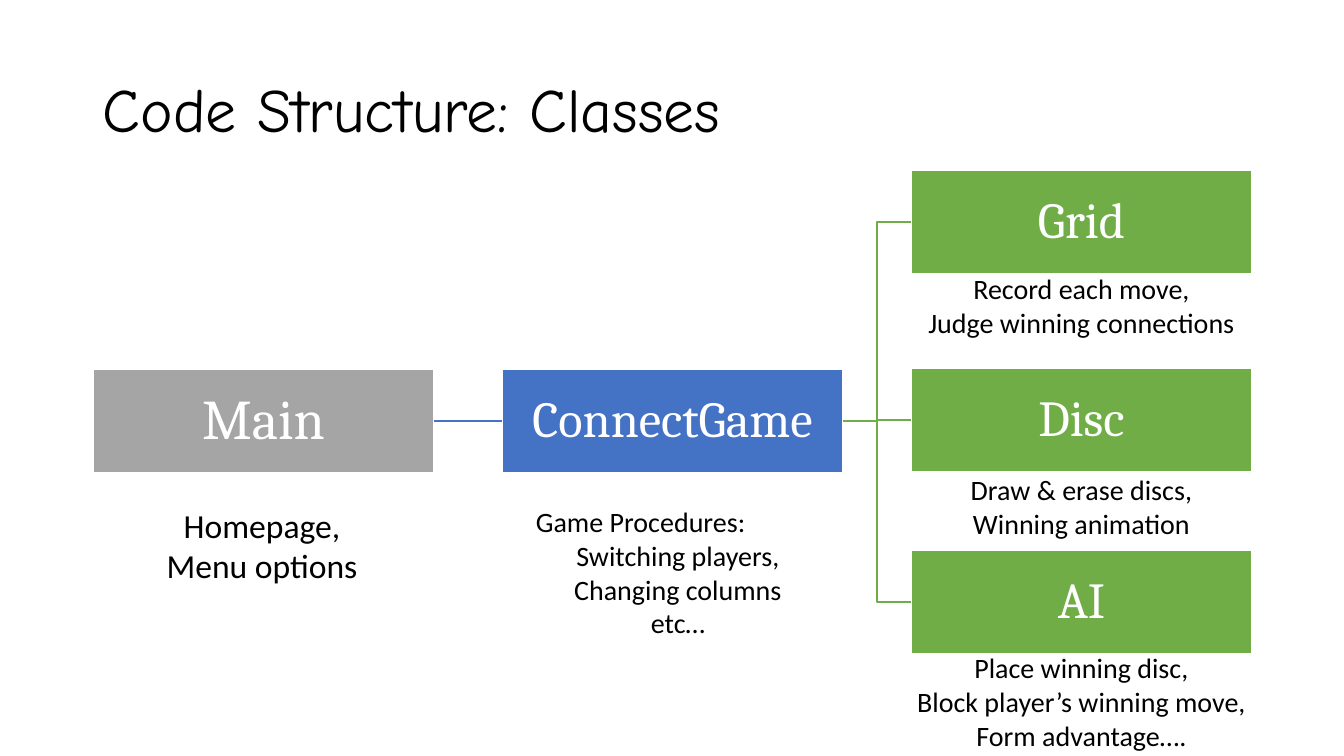
import pptx
import pptx.util
import pptx.dml.color
import pptx.enum.shapes
import pptx.enum.text
import lxml.etree

EMU_PER_PIXEL = 914400 / 100.8
BOX_WIDTH, BOX_HEIGHT = 341, 104
GREY, BLUE, GREEN = "A5A5A5", "4472C4", "70AD47"
WHITE, BLACK = "FFFFFF", "000000"
LEFT, CENTER = pptx.enum.text.PP_ALIGN.LEFT, pptx.enum.text.PP_ALIGN.CENTER
TOP, MIDDLE = pptx.enum.text.MSO_ANCHOR.TOP, pptx.enum.text.MSO_ANCHOR.MIDDLE


def px(*lengths):
    """Turn pixel lengths into EMU."""
    return [pptx.util.Emu(round(length * EMU_PER_PIXEL)) for length in lengths]


def rgb(hex_string):
    """Turn a hex string into a colour."""
    return pptx.dml.color.RGBColor.from_string(hex_string)


def write(frame, lines, font, size, color, align=CENTER, anchor=TOP, spacing=1.0):
    """Fill a text frame with one paragraph for each line."""
    frame.word_wrap = True
    frame.vertical_anchor = anchor
    frame.text = "\n".join(lines)
    for paragraph in frame.paragraphs:
        paragraph.alignment = align
        paragraph.line_spacing = spacing
        paragraph.font.name = font
        paragraph.font.size = pptx.util.Pt(size)
        paragraph.font.color.rgb = rgb(color)


def add_title(slide, box, title):
    """Place the slide title in its box."""
    frame = slide.shapes.add_textbox(*px(*box)).text_frame
    write(frame, [title], "Comic Neue", 44, BLACK, LEFT, MIDDLE, 0.9)


def add_class(slide, left, top, name, color, size=36):
    """Draw the filled box of one class and return it."""
    class_box = slide.shapes.add_shape(
        pptx.enum.shapes.MSO_SHAPE.RECTANGLE, *px(left, top, BOX_WIDTH, BOX_HEIGHT))
    class_box.shadow.inherit = False
    class_box.fill.solid()
    class_box.fill.fore_color.rgb = rgb(color)
    class_box.line.color.rgb = rgb(WHITE)
    class_box.line.width = pptx.util.Pt(1)
    frame = class_box.text_frame
    frame.margin_left, frame.margin_top, frame.margin_right, frame.margin_bottom = px(3, 3, 3, 3)
    write(frame, [name], "Cambria", size, WHITE, anchor=MIDDLE, spacing=0.9)
    return class_box


def add_duties(slide, box, duties, size=20):
    """Write what a class does and return the paragraphs."""
    frame = slide.shapes.add_textbox(*px(*box)).text_frame
    write(frame, duties, "Calibri", size, BLACK)
    return frame.paragraphs


def link(slide, parent, child, kind, color):
    """Join the right side of one class to the left side of another."""
    connector = slide.shapes.add_connector(kind, 0, 0, 0, 0)
    connector.begin_connect(parent, 3)
    connector.end_connect(child, 1)
    connector.line.color.rgb = rgb(color)
    connector.line.width = pptx.util.Pt(1)
    properties = connector.element.spPr
    lxml.etree.SubElement(properties, pptx.oxml.ns.qn("a:effectLst"))


def add_class_tree(slide, left, top):
    """Draw the classes, their links and their duties from the given corner."""
    game_left, part_left = left + 409, left + 818
    main = add_class(slide, left, top + 199, "Main", GREY, 40)
    game = add_class(slide, game_left, top + 199, "ConnectGame", BLUE)
    kinds = pptx.enum.shapes.MSO_CONNECTOR
    link(slide, main, game, kinds.STRAIGHT, BLUE)

    parts = [
        ("Grid", 0, 97, ["Record each move,", "Judge winning connections"]),
        ("Disc", 198, 298, ["Draw & erase discs,", "Winning animation"]),
        ("AI", 380, 476, ["Place winning disc,",
                          "Block player’s winning move, Form advantage…."]),
    ]
    for name, box_top, duties_top, duties in parts:
        part = add_class(slide, part_left, top + box_top, name, GREEN)
        link(slide, game, part, kinds.ELBOW, GREEN)
        add_duties(slide, (part_left - 8, top + duties_top, 357, 34 * len(duties) + 10), duties)

    add_duties(slide, (left + 41, top + 330, 256, 92), ["Homepage,", "Menu options"], 24)
    procedures = add_duties(
        slide, (game_left + 24, top + 330, 304, 146),
        ["Game Procedures:", "Switching players,", "Changing columns", "etc…"])
    procedures[0].alignment = LEFT


presentation = pptx.Presentation()
presentation.slide_width, presentation.slide_height = px(1344, 756)
classes_slide = presentation.slides.add_slide(presentation.slide_layouts[6])
add_title(classes_slide, (93, 40, 1159, 146), "Code Structure: Classes")
add_class_tree(classes_slide, 93, 170)
presentation.save("out.pptx")
